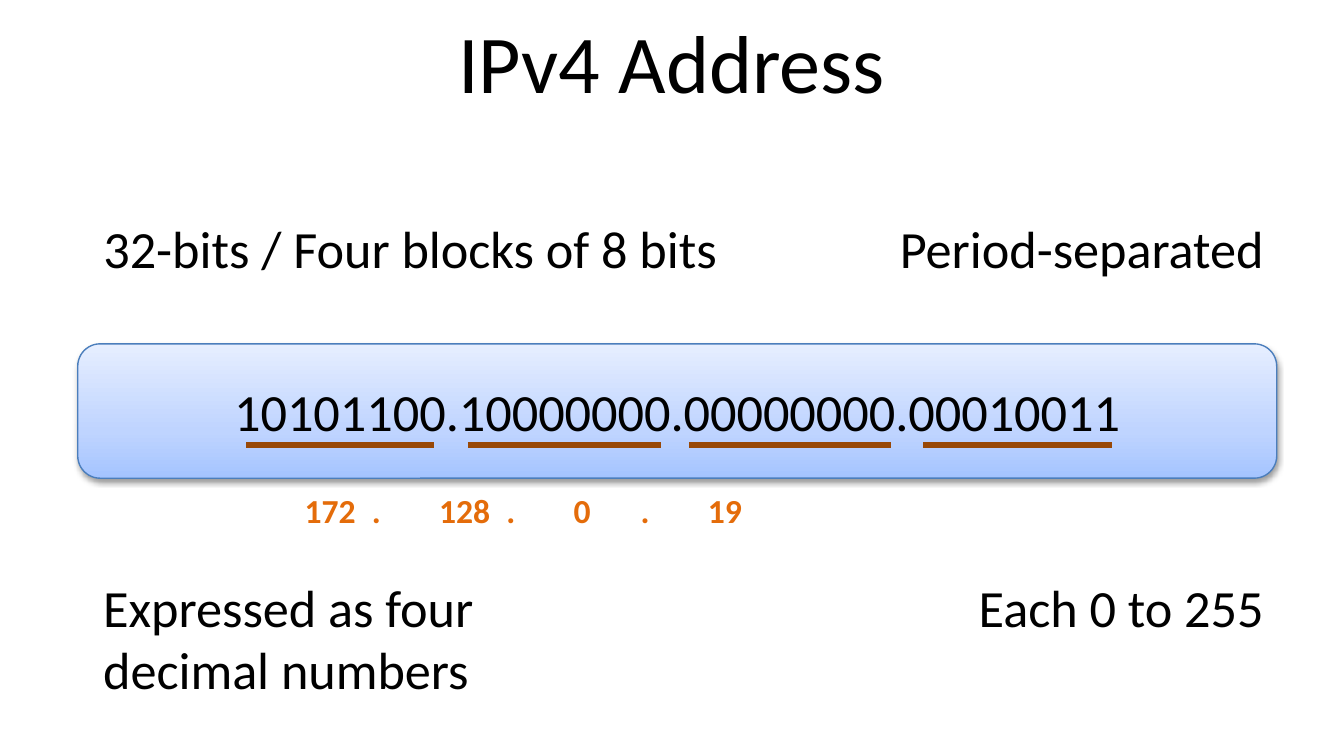
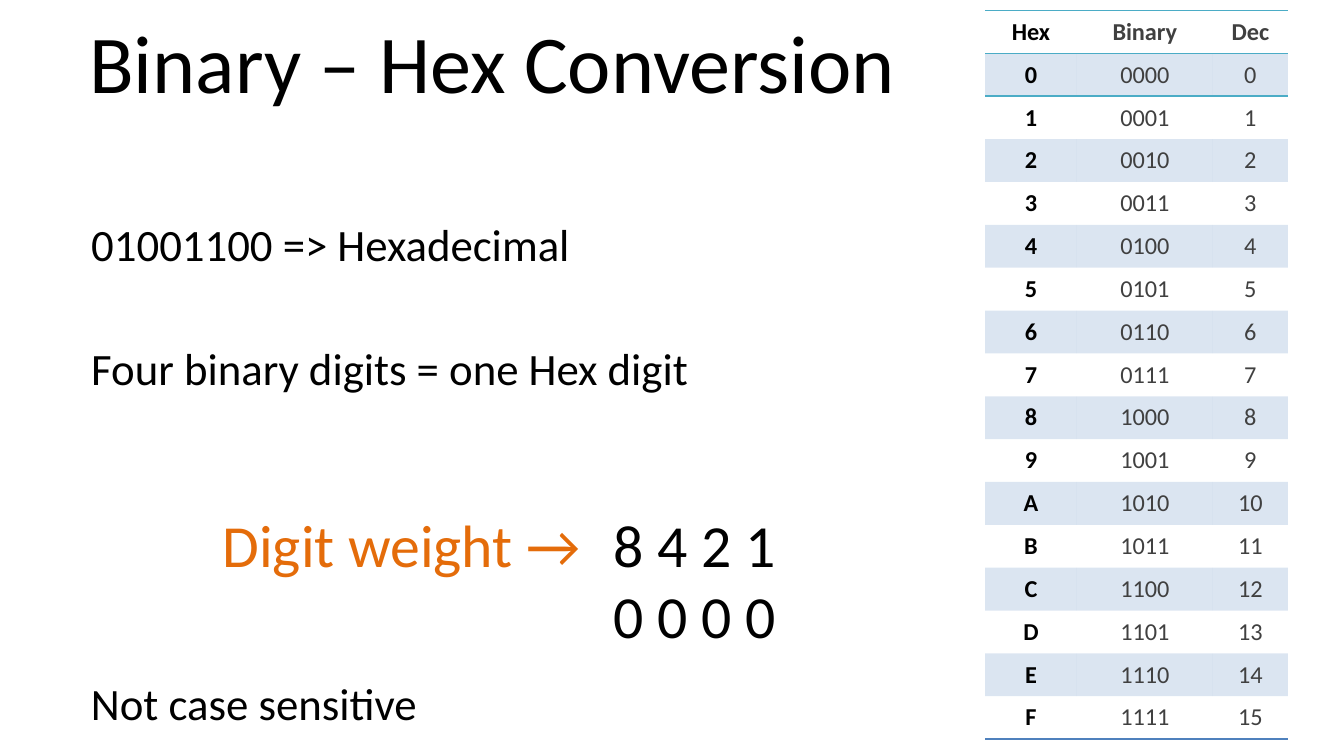
from copy import deepcopy
from dataclasses import dataclass

from lxml import etree
from pptx import Presentation
from pptx.dml.color import RGBColor
from pptx.enum.shapes import MSO_CONNECTOR, MSO_SHAPE
from pptx.enum.text import MSO_ANCHOR, MSO_AUTO_SIZE, PP_ALIGN
from pptx.oxml.ns import qn
from pptx.util import Cm, Pt

LEFT, CENTER, RIGHT = PP_ALIGN.LEFT, PP_ALIGN.CENTER, PP_ALIGN.RIGHT
TOP, MIDDLE = MSO_ANCHOR.TOP, MSO_ANCHOR.MIDDLE
NO_AUTOFIT = MSO_AUTO_SIZE.NONE
ROUNDED, STRAIGHT = MSO_SHAPE.ROUNDED_RECTANGLE, MSO_CONNECTOR.STRAIGHT
PLAIN_TABLE = "{2D5ABB26-0587-4C30-8999-92F81FD0307C}"


@dataclass(frozen=True)
class Theme:
    font: str = "Calibri"
    ink: str = "000000"
    muted: str = "404040"
    accent: str = "E46C0A"
    underline: str = "984807"
    panel_line: str = "4B7EBC"
    panel_stops: tuple = ((0, "A4C4FF"), (0.35, "BFD4FF"), (1, "E6EEFF"))
    band: str = "4F81BD"
    header_rule: str = "4BACC6"
    title_size: int = 44
    weight_size: int = 32
    point_size: int = 28
    list_size: int = 24
    decimal_size: int = 18
    table_size: int = 13


def rgb(value):
    return RGBColor.from_string(value)


def add_xml(parent, tag, **attributes):
    return etree.SubElement(parent, qn(tag), {key: str(value) for key, value in attributes.items()})


class Deck:
    def __init__(self, theme):
        self.theme = theme
        self.presentation = Presentation()
        self.presentation.slide_width = Cm(25.4)
        self.presentation.slide_height = Cm(14.29)
        self.slide = None

    def start(self, title, title_width):
        layout = self.presentation.slide_layouts[1]
        self.slide = self.presentation.slides.add_slide(layout)
        heading = self.slide.shapes.title
        self.place(heading, 1.27, -0.05, title_width, 2.39)
        self.set_lines(heading.text_frame, [title], self.theme.title_size, align=CENTER, anchor=MIDDLE)

    def place(self, shape, left, top, width, height):
        shape.left, shape.top, shape.width, shape.height = map(Cm, (left, top, width, height))

    def set_lines(self, frame, lines, size, color=None, align=LEFT, anchor=TOP,
                  bold=False, gap=0, tabs=()):
        frame.word_wrap = True
        frame.auto_size = NO_AUTOFIT
        frame.vertical_anchor = anchor
        for index, line in enumerate(lines):
            paragraph = frame.paragraphs[0] if index == 0 else frame.add_paragraph()
            paragraph.text = line
            self.style(paragraph, size, color, align, bold, gap if index else 0, tabs)

    def style(self, paragraph, size, color=None, align=LEFT, bold=False, gap=0, tabs=()):
        paragraph.alignment = align
        paragraph.space_before = Pt(gap)
        properties = paragraph._p.get_or_add_pPr()
        properties.set("marL", "0")
        properties.set("indent", "0")
        add_xml(properties, "a:buNone")
        if tabs:
            stops = add_xml(properties, "a:tabLst")
            for position in tabs:
                add_xml(stops, "a:tab", pos=int(Cm(position)), algn="ctr")
        font = paragraph.font
        font.name, font.size, font.bold = self.theme.font, Pt(size), bold
        font.color.rgb = rgb(color or self.theme.ink)

    def body(self, box, lines, size, gap=0):
        content = self.slide.placeholders[1]
        self.place(content, *box)
        self.set_lines(content.text_frame, lines, size, gap=gap)

    def text(self, box, lines, size, **style):
        label = self.slide.shapes.add_textbox(*map(Cm, box))
        self.set_lines(label.text_frame, lines, size, **style)

    def panel(self, box, text):
        panel = self.slide.shapes.add_shape(ROUNDED, *map(Cm, box))
        panel.fill.gradient()
        panel.fill.gradient_angle = 90
        first_stop = panel._element.spPr.find(".//" + qn("a:gs"))
        first_stop.addnext(deepcopy(first_stop))
        for stop, (position, color) in zip(panel.fill.gradient_stops, self.theme.panel_stops):
            stop.position = position
            stop.color.rgb = rgb(color)
        panel.line.color.rgb = rgb(self.theme.panel_line)
        panel.line.width = Pt(0.75)
        panel.shadow.inherit = False
        effects = panel._element.spPr.find(qn("a:effectLst"))
        shadow = add_xml(effects, "a:outerShdw", blurRad=40000, dist=20000, dir=5400000, rotWithShape=0)
        add_xml(add_xml(shadow, "a:srgbClr", val=self.theme.ink), "a:alpha", val=38000)
        self.set_lines(panel.text_frame, [text], self.theme.point_size, align=CENTER, anchor=MIDDLE)

    def underline(self, start, end, top):
        rule = self.slide.shapes.add_connector(STRAIGHT, Cm(start), Cm(top), Cm(end), Cm(top))
        rule.line.color.rgb = rgb(self.theme.underline)
        rule.line.width = Pt(3)
        add_xml(rule._element.spPr, "a:effectLst")

    def table(self, left, top, widths, row_height, rows):
        frame = self.slide.shapes.add_table(
            len(rows), len(widths), Cm(left), Cm(top), Cm(sum(widths)), Cm(row_height * len(rows)))
        table = frame.table
        table._tbl.tblPr.find(qn("a:tableStyleId")).text = PLAIN_TABLE
        table.first_row = table.horz_banding = False
        for column, width in zip(table.columns, widths):
            column.width = Cm(width)
        last = len(rows) - 1
        edges = {0: {"a:lnT": self.theme.header_rule, "a:lnB": self.theme.header_rule},
                 1: {"a:lnT": self.theme.header_rule},
                 last: {"a:lnB": self.theme.band}}
        for row, values in enumerate(rows):
            table.rows[row].height = Cm(row_height)
            for column, value in enumerate(values):
                cell = table.cell(row, column)
                self.cell(cell, value, row == 0 or column == 0,
                          self.theme.muted if column else self.theme.ink)
                self.fill_cell(cell, banded=row % 2 == 1)
                self.edge_cell(cell, edges.get(row, {}))

    def cell(self, cell, value, bold, color):
        cell.text = value
        cell.vertical_anchor = MIDDLE
        cell.margin_top = cell.margin_bottom = Cm(0.1)
        self.style(cell.text_frame.paragraphs[0], self.theme.table_size, color, CENTER, bold)

    def fill_cell(self, cell, banded):
        if not banded:
            cell.fill.background()
            return
        cell.fill.solid()
        cell.fill.fore_color.rgb = rgb(self.theme.band)
        color = cell._tc.tcPr.find(".//" + qn("a:srgbClr"))
        add_xml(color, "a:alpha", val=20000)

    def edge_cell(self, cell, edges):
        properties = cell._tc.get_or_add_tcPr()
        for index, (tag, color) in enumerate(edges.items()):
            edge = add_xml(properties, tag, w=int(Pt(1)))
            add_xml(add_xml(edge, "a:solidFill"), "a:srgbClr", val=color)
            properties.insert(index, edge)


def address_slide(deck):
    theme = deck.theme
    deck.start("IPv4 Address", 22.86)
    deck.body((1.7, 3.96, 12.78, 2.11), ["32-bits / Four blocks of 8 bits"], theme.point_size)
    deck.panel((1.47, 6.5, 22.66, 2.54), "10101100.10000000.00000000.00010011")
    for start, end in ((4.65, 8.2), (8.84, 12.5), (13.03, 16.84), (17.45, 21.01)):
        deck.underline(start, end, 8.41)
    deck.text((5.51, 9.14, 17.09, 1.02), ["\t.\t".join(("172", "128", "0", "19"))],
              theme.decimal_size, color=theme.accent, bold=True,
              tabs=(2.69, 4.93, 6.99, 9.22, 11.28, 13.49))
    for top, note in ((3.96, "Period-separated"), (10.74, "Each 0 to 255")):
        deck.text((14.48, top, 9.65, 1.9), [note], theme.point_size, align=RIGHT)
    deck.text((1.7, 10.74, 10.16, 2.74), ["Expressed as four decimal numbers"], theme.point_size)


def conversion_slide(deck):
    theme = deck.theme
    deck.start("Binary – Hex Conversion", 16.08)
    deck.body((1.47, 3.96, 13.34, 8.79),
              ["01001100 => Hexadecimal", "Four binary digits = one Hex digit"],
              theme.list_size, gap=38)
    deck.text((11.35, 9.47, 5.99, 3), ["8 4 2 1", "0 0 0 0"], theme.weight_size)
    deck.text((2.34, 9.47, 8.89, 1.63), ["Digit weight →"], theme.weight_size,
              color=theme.accent, align=RIGHT)
    digits = [(f"{number:X}", f"{number:04b}", str(number)) for number in range(16)]
    deck.table(18.62, 0.2, (1.73, 2.57, 1.42), 0.81, [("Hex", "Binary", "Dec"), *digits])
    deck.text((1.47, 12.65, 13.34, 1.9), ["Not case sensitive"], theme.list_size)


def main():
    deck = Deck(Theme())
    address_slide(deck)
    conversion_slide(deck)
    deck.presentation.save("out.pptx")


if __name__ == "__main__":
    main()
